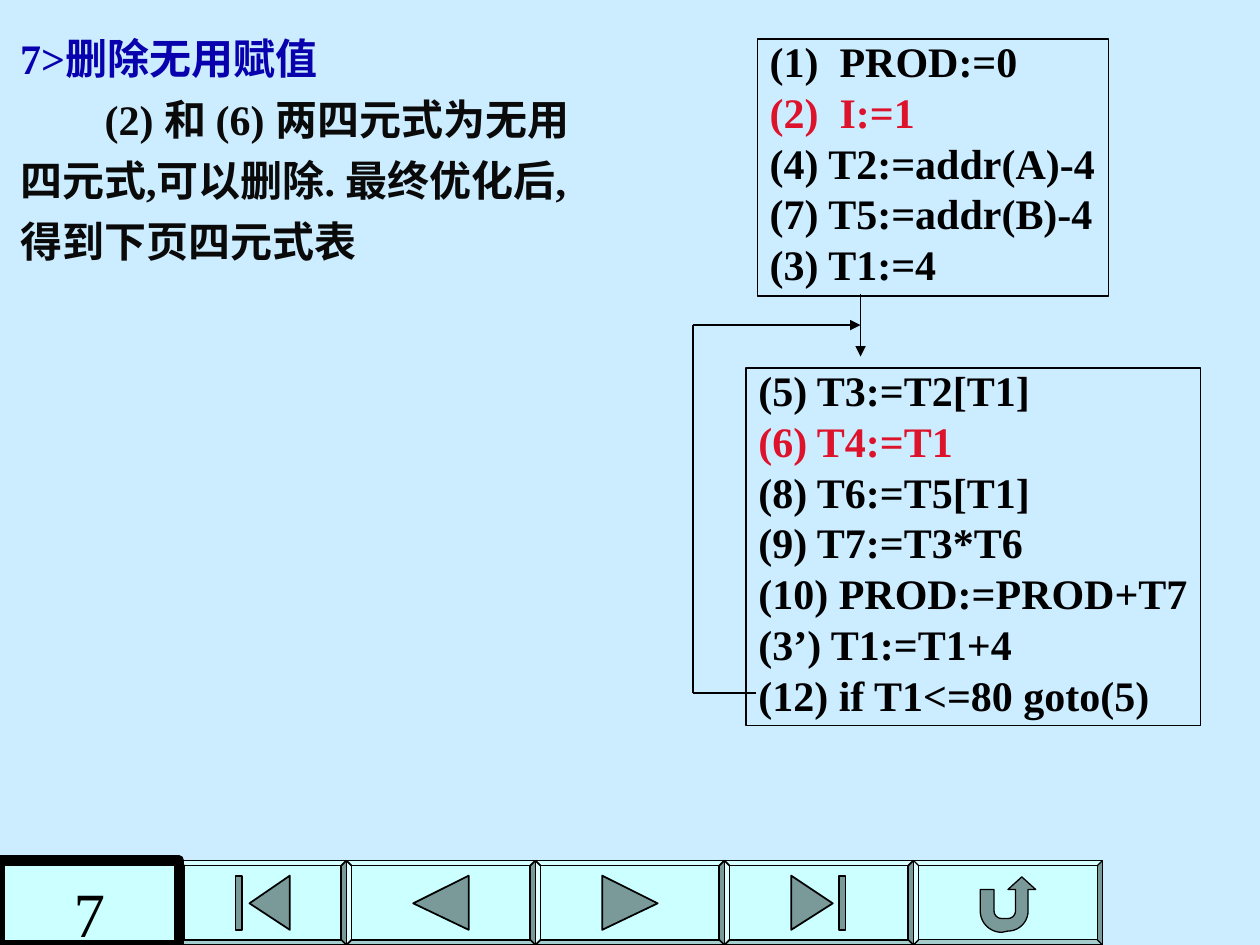
import math
from dataclasses import dataclass

from lxml import etree
from pptx import Presentation
from pptx import util as u
from pptx.dml.color import RGBColor
from pptx.enum import shapes, text
from pptx.oxml.ns import qn
from pptx.util import Inches

BLACK = RGBColor(0x00, 0x00, 0x00)
NEAR_BLACK = RGBColor(0x0A, 0x0A, 0x0A)
RED = RGBColor(0xDD, 0x13, 0x2B)
BLUE = RGBColor(0x09, 0x01, 0xAD)
SKY = RGBColor(0xCC, 0xEC, 0xFF)
PALE_CYAN = RGBColor(0xCC, 0xFF, 0xFF)
ICON_TEAL = RGBColor(0x7A, 0x99, 0x99)
FONT = "Times New Roman"

BAR_TOP, BAR_HEIGHT = 6.83, 0.67
ICON_TOP, ICON_MIDDLE, ICON_BOTTOM = 6.95, 7.17, 7.38

Point = tuple[float, float]


@dataclass(frozen=True)
class CodeBlock:
    left: float
    top: float
    width: float
    height: float
    lines: tuple[str, ...]
    useless_line: str


@dataclass(frozen=True)
class NavButton:
    left: float
    width: float
    icon: tuple[Point, ...]
    icon_bar_left: float | None = None
    line_width: float = 1


def triangle(base: float, tip: float) -> tuple[Point, ...]:
    return (base, ICON_TOP), (tip, ICON_MIDDLE), (base, ICON_BOTTOM)


def arc(x: float, y: float, radius: float, start: int, end: int) -> list[Point]:
    """Points of an arc, with angles in degrees clockwise from the right."""
    angles = [math.radians(start + (end - start) * i / 10) for i in range(11)]
    return [(x + radius * math.cos(a), y + radius * math.sin(a)) for a in angles]


RETURN_ARROW = (
    (7.78, 7.06), (7.89, 7.06), *arc(7.95, 7.23, 0.06, 180, 90),
    *arc(8.0, 7.23, 0.06, 90, 0), (8.06, 7.06), (8.0, 7.06), (8.11, 6.96),
    (8.22, 7.06), (8.16, 7.06), *arc(8.0, 7.23, 0.16, 0, 90),
    *arc(7.95, 7.23, 0.17, 90, 180),
)

NAV_BUTTONS = (
    NavButton(1.42, 1.33, triangle(2.3, 1.98), icon_bar_left=1.87),
    NavButton(2.75, 1.5, triangle(3.72, 3.28)),
    NavButton(4.25, 1.5, triangle(4.78, 5.22)),
    NavButton(5.75, 1.5, triangle(6.28, 6.61), icon_bar_left=6.66),
    NavButton(7.25, 1.5, RETURN_ARROW, line_width=0.75),
)

CODE_BLOCKS = (
    CodeBlock(6.01, 0.31, 2.79, 2.04, (
        "(1)  PROD:=0", "(2)  I:=1", "(4) T2:=addr(A)-4",
        "(7) T5:=addr(B)-4", "(3) T1:=4",
    ), "(2)  I:=1"),
    CodeBlock(5.92, 2.92, 3.61, 2.84, (
        "(5) T3:=T2[T1]", "(6) T4:=T1", "(8) T6:=T5[T1]", "(9) T7:=T3*T6",
        "(10) PROD:=PROD+T7", "(3’) T1:=T1+4", "(12) if T1<=80 goto(5)",
    ), "(6) T4:=T1"),
)

EXPLANATION = (
    "(2) 和 (6) 两四元式为无用",
    "四元式,可以删除. 最终优化后,",
    "得到下页四元式表",
)


def style_shape(shape, fill: RGBColor | None, line_width: float) -> None:
    shape.shadow.inherit = False
    if fill is None:
        shape.fill.background()
    else:
        shape.fill.solid()
        shape.fill.fore_color.rgb = fill
    shape.line.color.rgb = BLACK
    shape.line.width = u.Pt(line_width)


def add_box(slide, kind, left: float, top: float, width: float, height: float,
            fill: RGBColor | None, line_width: float):
    shape = slide.shapes.add_shape(
        kind, Inches(left), Inches(top), Inches(width), Inches(height))
    style_shape(shape, fill, line_width)
    return shape


def style_paragraph(paragraph, color: RGBColor, size: float = 24, bold: bool = True) -> None:
    paragraph.font.name = FONT
    paragraph.font.size = u.Pt(size)
    paragraph.font.bold = bold
    paragraph.font.color.rgb = color


def write_lines(frame, lines: tuple[str, ...]) -> list:
    """Write one paragraph a line, with space between them."""
    frame.text = "\n".join(lines)
    for index, paragraph in enumerate(frame.paragraphs):
        paragraph.alignment = text.PP_ALIGN.LEFT
        paragraph.space_before = u.Pt(6 if index else 0)
    return list(frame.paragraphs)


def fill_placeholder(shape, top: float, height: float, lines: tuple[str, ...]) -> list:
    shape.left, shape.top = Inches(0.06), Inches(top)
    shape.width, shape.height = Inches(5.2), Inches(height)
    frame = shape.text_frame
    frame.vertical_anchor = text.MSO_ANCHOR.TOP
    frame.auto_size = text.MSO_AUTO_SIZE.NONE
    frame.word_wrap = True
    return write_lines(frame, lines)


def add_explanation(slide) -> None:
    title, = fill_placeholder(slide.shapes.title, 0.21, 0.5, ("7>删除无用赋值",))
    style_paragraph(title, BLUE)
    body = fill_placeholder(slide.placeholders[1], 0.69, 1.6, EXPLANATION)
    for index, paragraph in enumerate(body):
        properties = paragraph._p.get_or_add_pPr()
        properties.set("marL", "0")
        properties.set("indent", str(0 if index else Inches(0.67)))
        etree.SubElement(properties, qn("a:buNone"))
        style_paragraph(paragraph, NEAR_BLACK)


def add_code_block(slide, block: CodeBlock) -> None:
    shape = add_box(slide, shapes.MSO_SHAPE.RECTANGLE, block.left, block.top,
                    block.width, block.height, None, 0.75)
    frame = shape.text_frame
    frame.word_wrap = False
    frame.vertical_anchor = text.MSO_ANCHOR.TOP
    for paragraph in write_lines(frame, block.lines):
        paragraph.line_spacing = 0.8
        style_paragraph(paragraph, RED if paragraph.text == block.useless_line else BLACK)


def add_line(slide, start: Point, end: Point, arrow: bool = False) -> None:
    connector = slide.shapes.add_connector(
        shapes.MSO_CONNECTOR.STRAIGHT, *map(Inches, start + end))
    connector.line.color.rgb = BLACK
    connector.line.width = u.Pt(0.75)
    if arrow:
        line = connector.line._get_or_add_ln()
        etree.SubElement(line, qn("a:tailEnd"), type="triangle")
    etree.SubElement(connector._element.spPr, qn("a:effectLst"))


def add_nav_button(slide, button: NavButton) -> None:
    bevel = add_box(slide, shapes.MSO_SHAPE.BEVEL, button.left, BAR_TOP,
                    button.width, BAR_HEIGHT, PALE_CYAN, button.line_width)
    bevel.adjustments[0] = 0.06
    points = [(Inches(x), Inches(y)) for x, y in button.icon]
    builder = slide.shapes.build_freeform(*points[0])
    builder.add_line_segments(points[1:], close=True)
    style_shape(builder.convert_to_shape(), ICON_TEAL, button.line_width)
    if button.icon_bar_left is not None:
        add_box(slide, shapes.MSO_SHAPE.RECTANGLE, button.icon_bar_left, ICON_TOP,
                0.05, ICON_BOTTOM - ICON_TOP, ICON_TEAL, button.line_width)


def add_page_number(slide) -> None:
    shape = add_box(slide, shapes.MSO_SHAPE.RECTANGLE, 0, BAR_TOP, 1.42, BAR_HEIGHT,
                    PALE_CYAN, 6)
    frame = shape.text_frame
    frame.vertical_anchor = text.MSO_ANCHOR.TOP
    frame.margin_top, frame.margin_bottom = Inches(0.11), 0
    frame.text = "7"
    paragraph = frame.paragraphs[0]
    paragraph.alignment = text.PP_ALIGN.CENTER
    style_paragraph(paragraph, BLACK, size=36, bold=False)


def main() -> None:
    presentation = Presentation()
    presentation.slide_width, presentation.slide_height = Inches(10), Inches(7.5)
    slide = presentation.slides.add_slide(presentation.slide_layouts[1])
    slide.background.fill.solid()
    slide.background.fill.fore_color.rgb = SKY

    for button in NAV_BUTTONS:
        add_nav_button(slide, button)
    for block in CODE_BLOCKS:
        add_code_block(slide, block)
    add_line(slide, (6.83, 2.33), (6.83, 2.83), arrow=True)
    loop = ((6, 5.5), (5.5, 5.5), (5.5, 2.58), (6.83, 2.58))
    for start, end in zip(loop, loop[1:]):
        add_line(slide, start, end, arrow=end == loop[-1])
    add_explanation(slide)
    add_page_number(slide)
    presentation.save("out.pptx")


if __name__ == "__main__":
    main()
